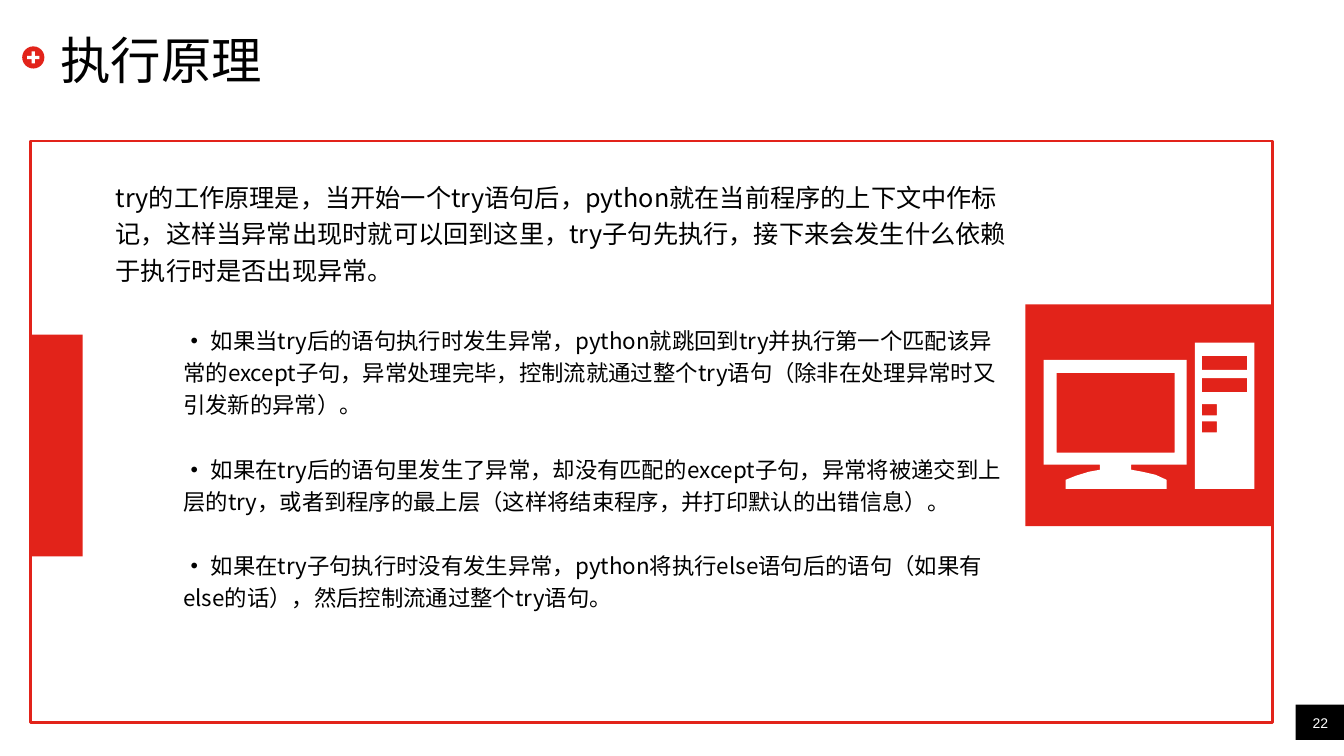
from pptx import Presentation
from pptx.dml.color import RGBColor
from pptx.enum.shapes import MSO_SHAPE
from pptx.enum.text import MSO_ANCHOR, PP_ALIGN
from pptx.oxml.ns import qn
from pptx.util import Inches, Pt
from lxml.etree import SubElement

RED, BLACK, WHITE = "E2231A", "000000", "FFFFFF"
CJK = "Noto Sans CJK SC"


def paint(shape, fill=None, line=None):
    """Give a shape a flat fill and outline, without shadow."""
    shape.shadow.inherit = False
    if fill:
        shape.fill.solid()
        shape.fill.fore_color.rgb = RGBColor.from_string(fill)
    else:
        shape.fill.background()
    if line:
        shape.line.color.rgb = RGBColor.from_string(line)
        shape.line.width = Pt(2)
    else:
        shape.line.fill.background()


def style(span, size, font, color=BLACK, bold=False):
    """Format a run, with a font for Latin and one for Chinese letters."""
    span.font.size = Pt(size)
    span.font.name = font
    span.font.bold = bold
    span.font.color.rgb = RGBColor.from_string(color)
    SubElement(span.font._element, qn("a:ea")).set("typeface", CJK)


deck = Presentation()
deck.slide_width, deck.slide_height = Inches(13.33), Inches(7.5)
page = deck.slides.add_slide(deck.slide_layouts[6])

# Page number block, title icon, side bar, frame and icon panel
for kind, left, top, width, height, fill, line in [
    (MSO_SHAPE.RECTANGLE, 12.85, 6.99, 0.48, 0.35, BLACK, None),
    (MSO_SHAPE.OVAL, 0.22, 0.46, 0.22, 0.22, RED, None),
    (MSO_SHAPE.CROSS, 0.27, 0.51, 0.12, 0.12, WHITE, None),
    (MSO_SHAPE.RECTANGLE, 0.31, 3.32, 0.51, 2.2, RED, None),
    (MSO_SHAPE.RECTANGLE, 0.3, 1.4, 12.32, 5.77, None, RED),
    (MSO_SHAPE.RECTANGLE, 10.17, 3.02, 2.45, 2.2, RED, None),
]:
    shape = page.shapes.add_shape(kind, Inches(left), Inches(top), Inches(width), Inches(height))
    if kind == MSO_SHAPE.CROSS:
        shape.adjustments[0] = 0.37
    paint(shape, fill, line)

# Title and page number
for text, left, top, width, height, size, color, anchor, align in [
    ("执行原理", 0.6, 0.3, 12.11, 0.57, 36, BLACK, MSO_ANCHOR.MIDDLE, PP_ALIGN.LEFT),
    ("22", 12.85, 6.99, 0.49, 0.27, 10, WHITE, MSO_ANCHOR.BOTTOM, PP_ALIGN.CENTER),
]:
    box = page.shapes.add_textbox(Inches(left), Inches(top), Inches(width), Inches(height))
    frame = box.text_frame
    frame.margin_left = frame.margin_right = frame.margin_top = frame.margin_bottom = 0
    frame.word_wrap = True
    frame.vertical_anchor = anchor
    frame.text = text
    frame.paragraphs[0].alignment = align
    style(frame.paragraphs[0].runs[0], size, "Arial", color)

# Explanation, then the three cases
intro = (
    "try的工作原理是，当开始一个try语句后，python就在当前程序的上下文中作标记，"
    "这样当异常出现时就可以回到这里，try子句先执行，接下来会发生什么依赖于执行时是否出现异常。"
)
cases = [
    "如果当try后的语句执行时发生异常，python就跳回到try并执行第一个匹配该异常的except子句，"
    "异常处理完毕，控制流就通过整个try语句（除非在处理异常时又引发新的异常）。",
    "如果在try后的语句里发生了异常，却没有匹配的except子句，异常将被递交到上层的try，"
    "或者到程序的最上层（这样将结束程序，并打印默认的出错信息）。",
    "如果在try子句执行时没有发生异常，python将执行else语句后的语句（如果有else的话），"
    "然后控制流通过整个try语句。",
]
box = page.shapes.add_textbox(Inches(1.05), Inches(1.7), Inches(9.07), Inches(4.78))
frame = box.text_frame
frame.word_wrap = True
frame.text = intro
frame.paragraphs[0].line_spacing = 1.2
style(frame.paragraphs[0].runs[0], 18, CJK)
for number, case in enumerate(cases):
    para = frame.add_paragraph()
    para.level = 1
    para.line_spacing = 1.2
    para.space_before = Pt(23 if number else 26)
    para._p.get_or_add_pPr().set("marL", str(Inches(0.67)))
    para._p.get_or_add_pPr().set("indent", "0")
    for text, bold in [("· ", True), (case, False)]:
        span = para.add_run()
        span.text = text
        style(span, 16, CJK, bold=bold)

# Computer icon, in hundredths of an inch: outlines first, then the cut-outs
monitor = [
    (1035, 357), (1177, 357), (1177, 461), (1122, 461), (1122, 466), (1133, 468),
    (1146, 471), (1157, 476), (1157, 485), (1057, 485), (1057, 476), (1067, 472),
    (1080, 468), (1091, 466), (1091, 461), (1035, 461),
]
rectangles = [
    (1185, 340, 1244, 485),
    (1192, 353, 1237, 367), (1192, 375, 1237, 389),
    (1192, 401, 1207, 412), (1192, 418, 1207, 429),
    (1048, 370, 1165, 449),
]
builder = page.shapes.build_freeform(*monitor[0], scale=Inches(0.01))
builder.add_line_segments(monitor[1:], close=True)
for left, top, right, bottom in rectangles:
    builder.move_to(left, top)
    builder.add_line_segments([(right, top), (right, bottom), (left, bottom)], close=True)
paint(builder.convert_to_shape(), WHITE)

deck.save("out.pptx")
